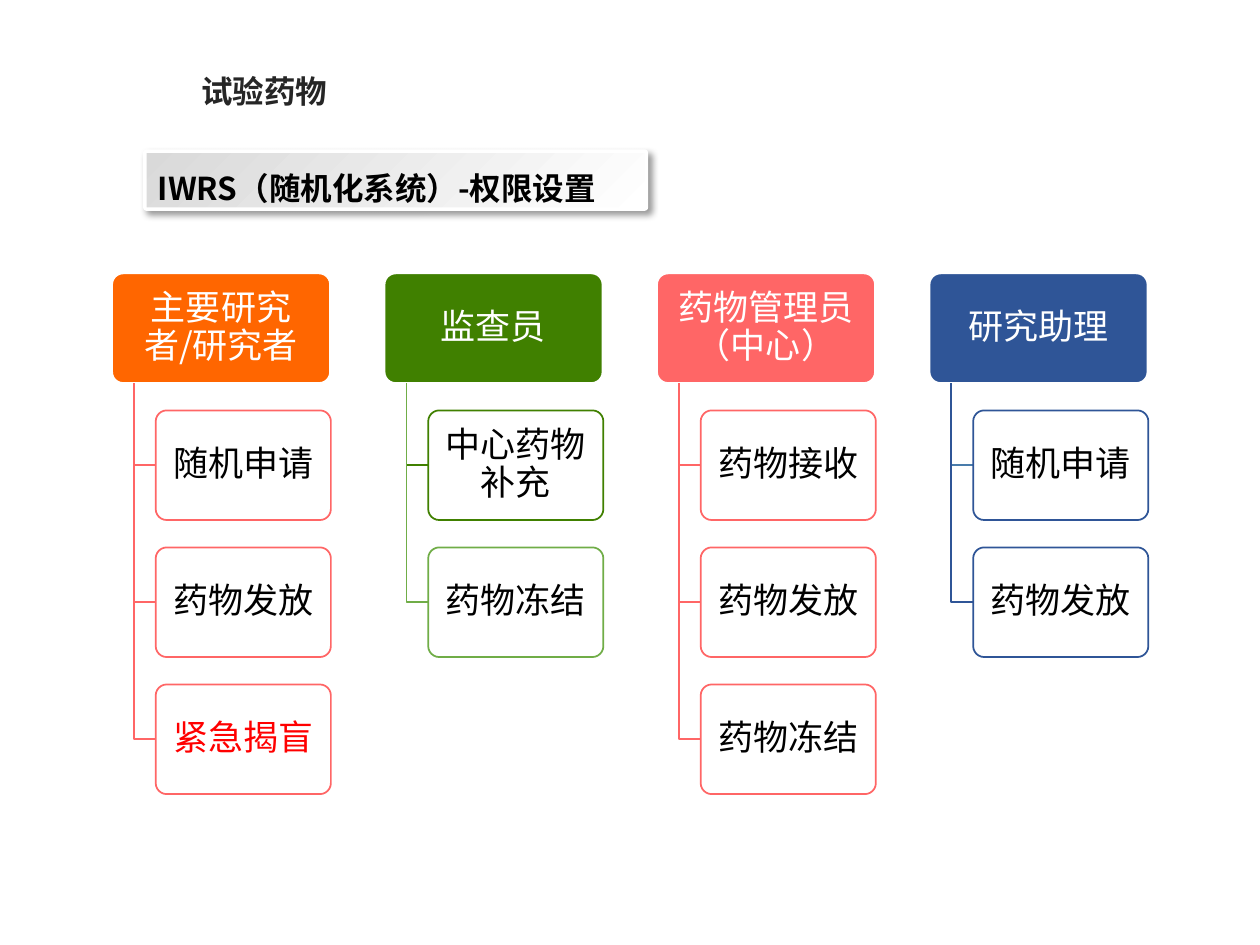
from lxml import etree
from pptx import Presentation, util as u
from pptx.dml.color import RGBColor
from pptx.enum import shapes, text
from pptx.oxml.ns import qn

FONT = "Noto Sans CJK SC"
WHITE = RGBColor(0xFF, 0xFF, 0xFF)
BLACK = RGBColor(0, 0, 0)
DARK = RGBColor(0x26, 0x26, 0x26)
SILVER = RGBColor(0xD9, 0xD9, 0xD9)
ORANGE = RGBColor(0xFF, 0x66, 0x00)
CORAL = RGBColor(0xFF, 0x66, 0x66)
RED = RGBColor(0xFF, 0, 0)
GREEN = RGBColor(0x40, 0x80, 0x00)
LIGHT_GREEN = RGBColor(0x70, 0xAD, 0x47)
NAVY = RGBColor(0x2F, 0x55, 0x97)
STEEL = RGBColor(0x49, 0x7C, 0xAB)

TITLE = "试验药物"
HEADING = "IWRS（随机化系统）-权限设置"
ROLES = [
    ("主要研究者/研究者", ORANGE, [
        ("随机申请", CORAL, CORAL, BLACK),
        ("药物发放", CORAL, CORAL, BLACK),
        ("紧急揭盲", CORAL, CORAL, RED)]),
    ("监查员", GREEN, [
        ("中心药物补充", GREEN, GREEN, BLACK),
        ("药物冻结", LIGHT_GREEN, LIGHT_GREEN, BLACK)]),
    ("药物管理员（中心）", CORAL, [
        ("药物接收", CORAL, CORAL, BLACK),
        ("药物发放", CORAL, CORAL, BLACK),
        ("药物冻结", CORAL, CORAL, BLACK)]),
    ("研究助理", NAVY, [
        ("随机申请", NAVY, STEEL, BLACK),
        ("药物发放", NAVY, NAVY, BLACK)]),
]

LEFT, TOP = 0.89, 2.17
ROLE_WIDTH, TASK_WIDTH, BOX_HEIGHT = 1.73, 1.39, 0.87
COLUMN_STEP = ROLE_WIDTH * 1.25
ROW_STEP = BOX_HEIGHT * 1.25
TRUNK_INDENT, TASK_INDENT = ROLE_WIDTH * 0.1, ROLE_WIDTH * 0.2

presentation = Presentation()
presentation.slide_width, presentation.slide_height = u.Inches(10), u.Inches(7.5)
slide = presentation.slides.add_slide(presentation.slide_layouts[6])


def write(shape, content, size=20, color=BLACK, bold=False, spacing=None,
          align=text.PP_ALIGN.LEFT, anchor=text.MSO_ANCHOR.MIDDLE,
          inset=(0.1, 0.05), wrap=True):
    frame = shape.text_frame
    frame.word_wrap = wrap
    frame.vertical_anchor = anchor
    frame.margin_left = frame.margin_right = u.Inches(inset[0])
    frame.margin_top = frame.margin_bottom = u.Inches(inset[1])
    paragraph = frame.paragraphs[0]
    paragraph.alignment = align
    if spacing:
        paragraph.line_spacing = spacing
    run = paragraph.add_run()
    run.text = content
    run.font.size = u.Pt(size)
    run.font.bold = bold
    run.font.color.rgb = color
    run.font.name = FONT
    east_asian = etree.SubElement(run.font._element, qn("a:ea"))
    east_asian.set("typeface", FONT)


def add_box(left, top, width, height, line, weight=1, fill=None, corner=0.1):
    box = slide.shapes.add_shape(
        shapes.MSO_SHAPE.ROUNDED_RECTANGLE,
        *map(u.Inches, (left, top, width, height)))
    box.adjustments[0] = corner
    box.shadow.inherit = False
    box.line.color.rgb = line
    box.line.width = u.Pt(weight)
    if fill is not None:
        box.fill.solid()
        box.fill.fore_color.rgb = fill
    return box


def add_label_box(content, left, top, width, line, fill, color):
    box = add_box(left, top, width, BOX_HEIGHT, line, fill=fill)
    write(box, content, color=color, spacing=0.9,
          align=text.PP_ALIGN.CENTER, inset=(0.06, 0.06))


def add_branch(trunk, top, end, middle, color):
    points = [(u.Inches(x), u.Inches(y))
              for x, y in ((trunk, top), (trunk, middle), (end, middle))]
    builder = slide.shapes.build_freeform(*points[0])
    builder.add_line_segments(points[1:], close=False)
    branch = builder.convert_to_shape()
    branch.shadow.inherit = False
    branch.fill.background()
    branch.line.color.rgb = color
    branch.line.width = u.Pt(1)


def add_heading():
    box = add_box(1.15, 1.2, 3.98, 0.46, WHITE, weight=2, corner=0.03)
    box.fill.gradient()
    box.fill.gradient_angle = 315
    for stop, color in zip(box.fill.gradient_stops, (SILVER, WHITE)):
        stop.color.rgb = color
    effects = box._element.spPr.find(qn("a:effectLst"))
    shadow = etree.SubElement(
        effects, qn("a:outerShdw"), blurRad=str(u.Pt(4)), dist=str(u.Pt(3)),
        dir="2700000", algn="tl", rotWithShape="0")
    tint = etree.SubElement(shadow, qn("a:srgbClr"), val=str(BLACK))
    etree.SubElement(tint, qn("a:alpha"), val="40000")
    write(box, HEADING, size=18, bold=True, spacing=u.Pt(30))


title = slide.shapes.add_textbox(*map(u.Inches, (1.5, 0.52, 1.21, 0.4)))
write(title, TITLE, size=18, color=DARK, bold=True, wrap=False,
      anchor=text.MSO_ANCHOR.TOP)
add_heading()

for column, (role, role_color, tasks) in enumerate(ROLES):
    left = LEFT + column * COLUMN_STEP
    add_label_box(role, left, TOP, ROLE_WIDTH, WHITE, role_color, WHITE)
    for row, (task, outline, branch_color, text_color) in enumerate(tasks, 1):
        top = TOP + row * ROW_STEP
        task_left = left + TASK_INDENT
        add_branch(left + TRUNK_INDENT, TOP + BOX_HEIGHT, task_left,
                   top + BOX_HEIGHT / 2, branch_color)
        add_label_box(task, task_left, top, TASK_WIDTH, outline, WHITE, text_color)

presentation.save("out.pptx")
